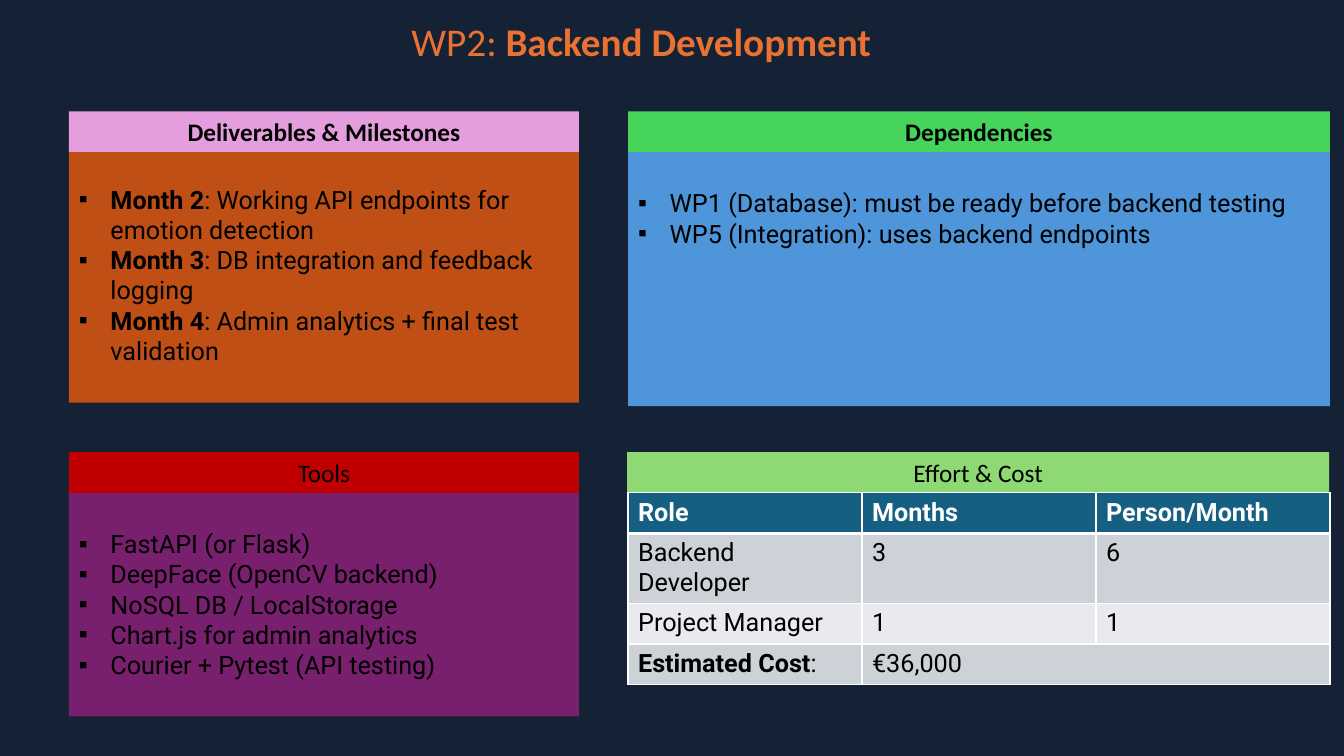
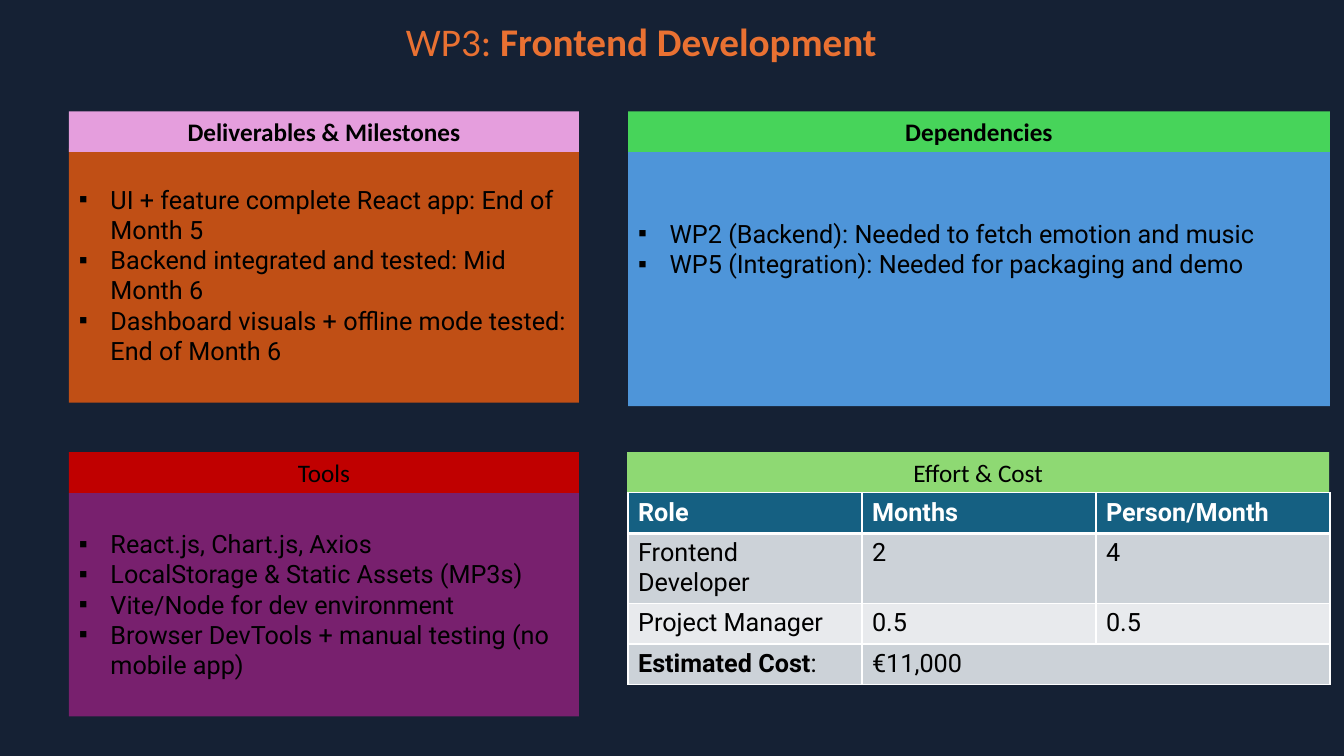
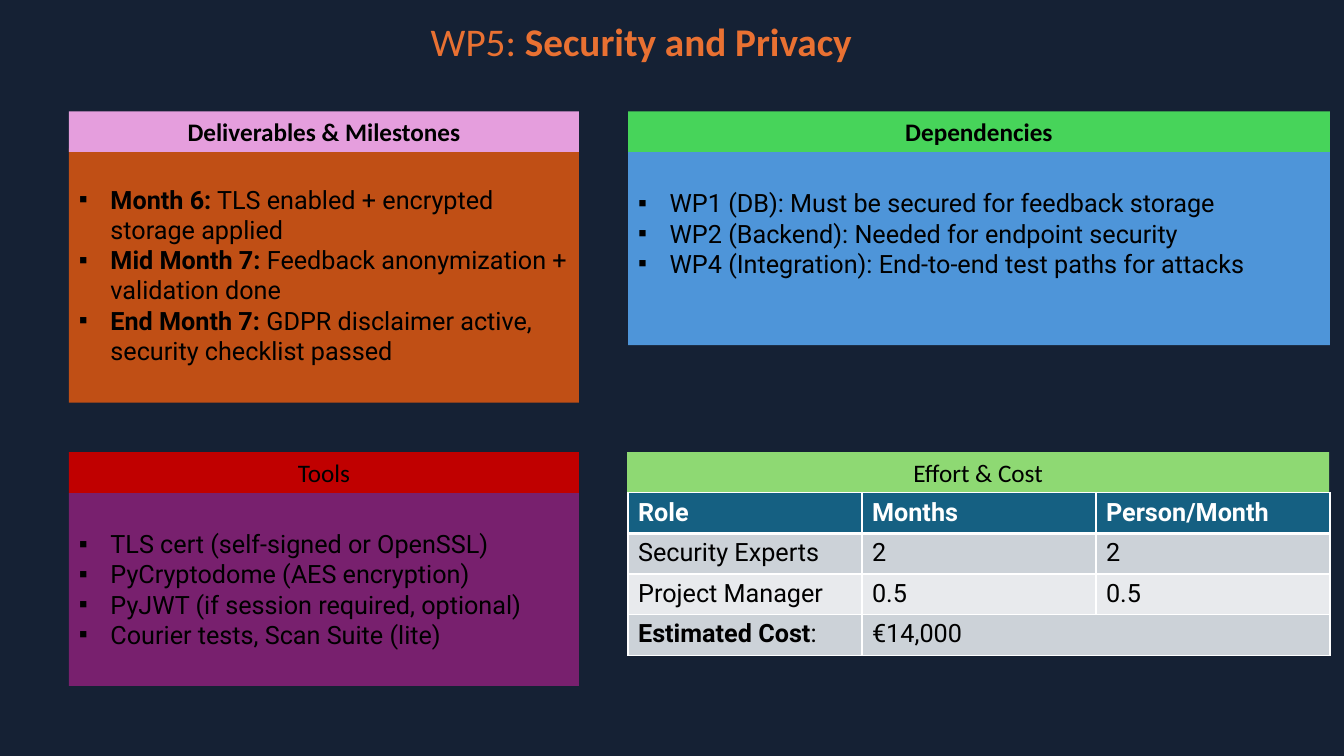
"""Build three work package slides with lists and a cost table."""
import pptx
import pptx.dml.color
import pptx.enum.shapes
import pptx.enum.text
import pptx.util
import lxml.etree

Pt = pptx.util.Pt
RGB = pptx.dml.color.RGBColor.from_string
ALIGN = pptx.enum.text.PP_ALIGN
ANCHOR = pptx.enum.text.MSO_ANCHOR
RECT = pptx.enum.shapes.MSO_SHAPE.RECTANGLE
NS = "http://schemas.openxmlformats.org/drawingml/2006/main"


class Theme:
    back, title, ink, white = "152134", "E97132", "000000", "FFFFFF"
    pink, rust, green, blue = "E59EDD", "C04F15", "47D45A", "4E95D9"
    red, plum, lime = "C00000", "78206E", "8ED973"
    teal, dark, light = "156082", "CCD2D8", "E8EAED"
    head, body = "Calibri", "Roboto"
    big, small = 28, 18


LEFT, RIGHT, WIDE, BROAD = 49.2, 448.6, 364.4, 501.4
TOP, LOW, BAND = 79.6, 323, 29
INSET, LINE, INDENT = 3.6, 21.8, 22.5

HEADS = [
    ("*Deliverables & Milestones*", LEFT, TOP, WIDE, Theme.pink),
    ("*Dependencies*", RIGHT, TOP, BROAD, Theme.green),
    ("Tools", LEFT, LOW, WIDE, Theme.red),
    ("Effort & Cost", RIGHT - 0.6, LOW, BROAD, Theme.lime),
]
PANELS = [
    (LEFT, TOP + BAND - 2.6, WIDE, Theme.rust),
    (RIGHT, TOP + BAND, BROAD, Theme.blue),
    (LEFT, LOW + BAND, WIDE, Theme.plum),
]
COLUMNS = ["*Role*", "*Months*", "*Person/Month*"]

PACKS = [
    {
        "title": "WP2: *Backend Development*",
        "lists": [
            ["*Month 2*: Working API endpoints for emotion detection",
             "*Month 3*: DB integration and feedback logging",
             "*Month 4*: Admin analytics + final test validation"],
            ["WP1 (Database): must be ready before backend testing",
             "WP5 (Integration): uses backend endpoints"],
            ["FastAPI (or Flask)", "DeepFace (OpenCV backend)",
             "NoSQL DB / LocalStorage", "Chart.js for admin analytics",
             "Courier + Pytest (API testing)"],
        ],
        "lines": [8, 8, 7], "gaps": [1, 1, 1],
        "costs": [["Backend Developer", "3", "6"],
                  ["Project Manager", "1", "1"],
                  ["*Estimated Cost*:", "€36,000", ""]],
        "rows": [29, 50, 29, 29],
    },
    {
        "title": "WP3: *Frontend Development*",
        "lists": [
            ["UI + feature complete React app: End of Month 5",
             "Backend integrated and tested: Mid Month 6",
             "Dashboard visuals + offline mode tested: End of Month 6"],
            ["WP2 (Backend): Needed to fetch emotion and music",
             "WP5 (Integration): Needed for packaging and demo"],
            ["React.js, Chart.js, Axios",
             "LocalStorage & Static Assets (MP3s)",
             "Vite/Node for dev environment",
             "Browser DevTools + manual testing (no mobile app)"],
        ],
        "lines": [8, 8, 7], "gaps": [1, 2, 1],
        "costs": [["Frontend Developer", "2", "4"],
                  ["Project Manager", "0.5", "0.5"],
                  ["*Estimated Cost*:", "€11,000", ""]],
        "rows": [29, 50, 29, 29],
    },
    {
        "title": "WP5: *Security and Privacy*",
        "lists": [
            ["*Month 6:* TLS enabled + encrypted storage applied",
             "*Mid Month 7:* Feedback anonymization + validation done",
             "*End Month 7:* GDPR disclaimer active, security checklist passed"],
            ["WP1 (DB): Must be secured for feedback storage",
             "WP2 (Backend): Needed for endpoint security",
             "WP4 (Integration): End-to-end test paths for attacks"],
            ["TLS cert (self-signed or OpenSSL)",
             "PyCryptodome (AES encryption)",
             "PyJWT (if session required, optional)",
             "Courier tests, Scan Suite (lite)"],
        ],
        "lines": [8, 6, 6], "gaps": [1, 1, 1],
        "costs": [["Security Experts", "2", "2"],
                  ["Project Manager", "0.5", "0.5"],
                  ["*Estimated Cost*:", "€14,000", ""]],
        "rows": [29, 29, 29, 29],
    },
]


def write(par, text, font, size, ink):
    """Fill a paragraph, with the words between asterisks in bold."""
    for spot, piece in enumerate(text.split("*")):
        if piece:
            run = par.add_run()
            run.text = piece
            run.font.name = font
            run.font.size = Pt(size)
            run.font.bold = spot % 2 == 1
            run.font.color.rgb = RGB(ink)


def place(shape, left, top, width, height, anchor):
    """Move a shape and set how its text sits."""
    shape.left, shape.top = Pt(left), Pt(top)
    shape.width, shape.height = Pt(width), Pt(height)
    frame = shape.text_frame
    frame.word_wrap = True
    frame.auto_size = pptx.enum.text.MSO_AUTO_SIZE.NONE
    frame.vertical_anchor = anchor
    return frame


deck = pptx.Presentation()
deck.slide_width, deck.slide_height = Pt(960), Pt(540)
fill = deck.slide_master.background.fill
fill.solid()
fill.fore_color.rgb = RGB(Theme.back)

for pack in PACKS:
    slide = deck.slides.add_slide(deck.slide_layouts.get_by_name("Comparison"))
    title, *holds, spare = slide.placeholders
    spare.element.getparent().remove(spare.element)

    frame = place(title, 171, 8.6, 574, 41, ANCHOR.TOP)
    par = frame.paragraphs[0]
    par.alignment = ALIGN.CENTER
    write(par, pack["title"], Theme.head, Theme.big, Theme.title)

    for hold, panel, items, lines, gap in zip(
            holds, PANELS, pack["lists"], pack["lines"], pack["gaps"]):
        left, top, width, color = panel
        frame = place(hold, left, top, width, 2 * INSET + LINE * lines, ANCHOR.TOP)
        frame.margin_top = Pt(INSET + LINE * gap)
        hold.fill.solid()
        hold.fill.fore_color.rgb = RGB(color)
        for spot, item in enumerate(items):
            par = frame.add_paragraph() if spot else frame.paragraphs[0]
            props = par._p.get_or_add_pPr()
            props.set("marL", str(Pt(INDENT)))
            props.set("indent", str(-Pt(INDENT)))
            lxml.etree.SubElement(props, f"{{{NS}}}buFont", typeface="Arial")
            lxml.etree.SubElement(props, f"{{{NS}}}buChar", char="▪")
            par.space_before = par.space_after = Pt(0)
            par.alignment = ALIGN.LEFT
            write(par, item, Theme.body, Theme.small, Theme.ink)

    for text, left, top, width, color in HEADS:
        band = slide.shapes.add_shape(RECT, Pt(left), Pt(top), Pt(width), Pt(BAND))
        band.shadow.inherit = False
        band.fill.solid()
        band.fill.fore_color.rgb = RGB(color)
        band.line.fill.background()
        frame = place(band, left, top, width, BAND, ANCHOR.MIDDLE)
        par = frame.paragraphs[0]
        par.alignment = ALIGN.CENTER
        write(par, text, Theme.head, Theme.small, Theme.ink)

    rows = [COLUMNS] + pack["costs"]
    table = slide.shapes.add_table(
        len(rows), len(COLUMNS), Pt(RIGHT), Pt(LOW + BAND),
        Pt(BROAD), Pt(sum(pack["rows"]))).table
    table.cell(3, 1).merge(table.cell(3, 2))
    for y, row in enumerate(rows):
        table.rows[y].height = Pt(pack["rows"][y])
        color = Theme.light if y == 2 else Theme.dark if y else Theme.teal
        for x, text in enumerate(row):
            cell = table.cell(y, x)
            props = cell._tc.get_or_add_tcPr()
            for side in ("lnL", "lnR", "lnT", "lnB"):
                thick = 3 if (side, y) in (("lnB", 0), ("lnT", 1)) else 1
                edge = lxml.etree.SubElement(props, f"{{{NS}}}{side}", w=str(Pt(thick)))
                solid = lxml.etree.SubElement(edge, f"{{{NS}}}solidFill")
                lxml.etree.SubElement(solid, f"{{{NS}}}srgbClr", val=Theme.white)
            cell.fill.solid()
            cell.fill.fore_color.rgb = RGB(color)
            ink = Theme.ink if y else Theme.white
            write(cell.text_frame.paragraphs[0], text, Theme.body, Theme.small, ink)

deck.save("out.pptx")
